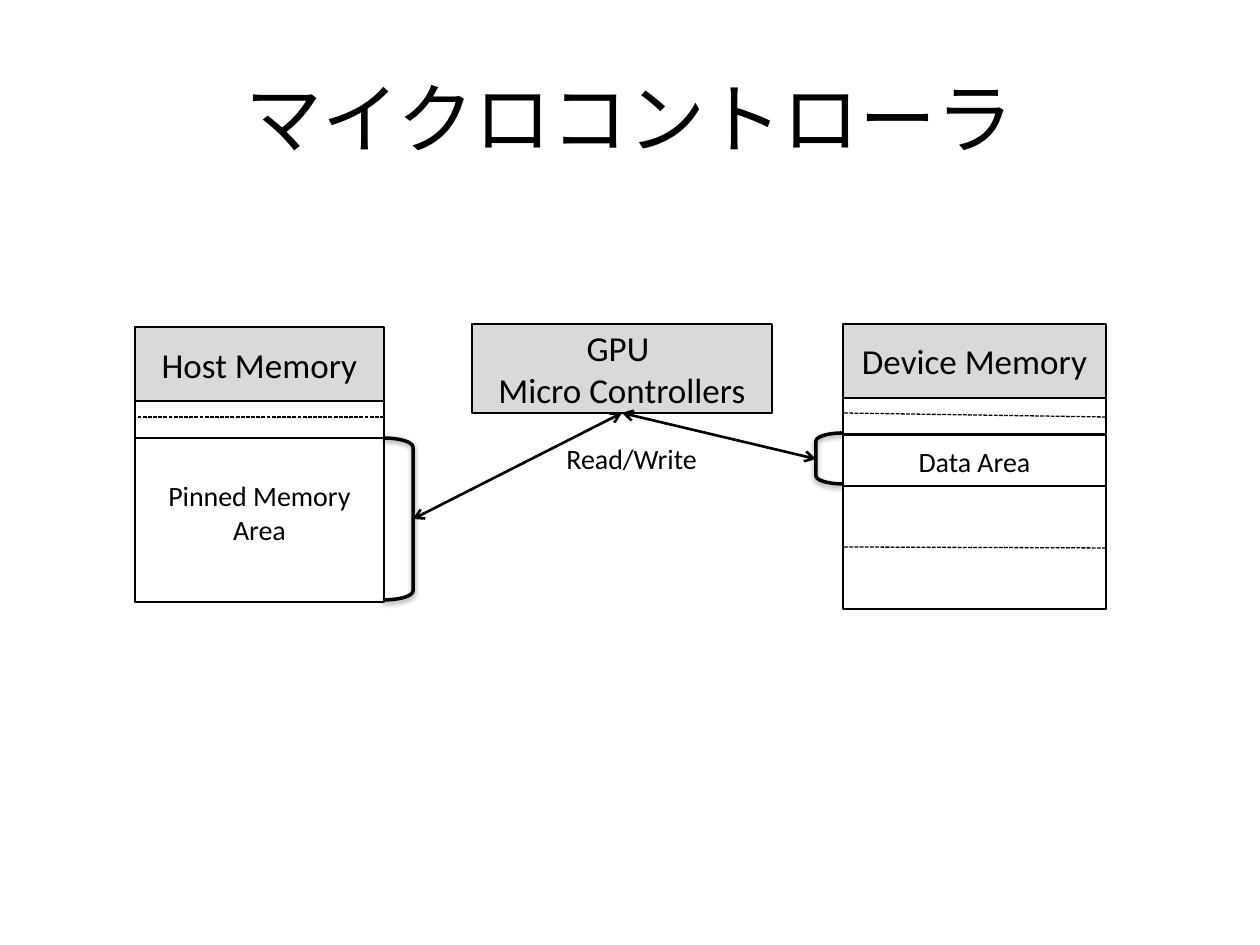
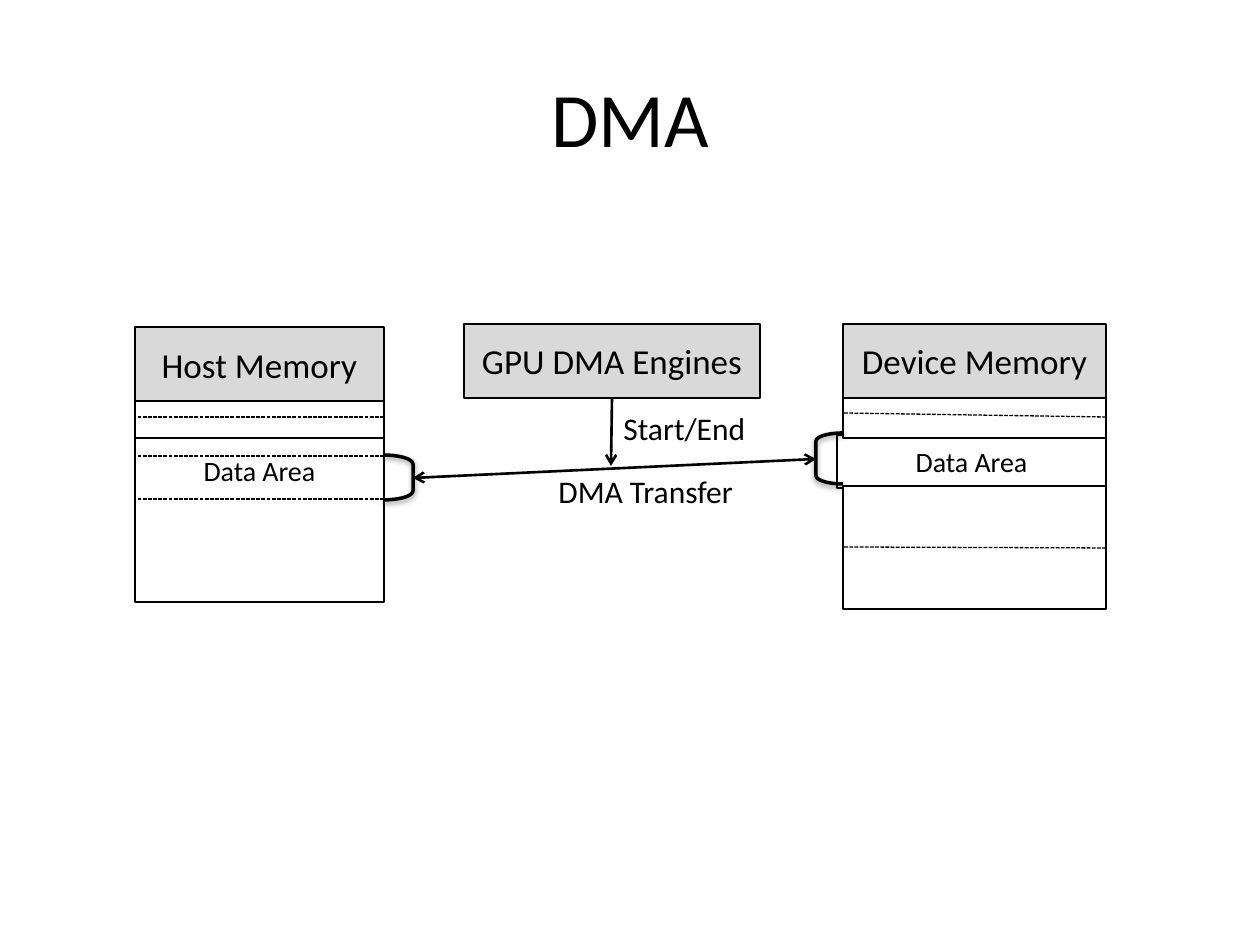
from lxml import etree
from pptx import Presentation
from pptx import util as u
from pptx.dml.color import RGBColor
from pptx.enum import dml, shapes, text
from pptx.oxml import ns

SCALE = 914400 / 126
COLORS = {"ink": "000000", "header": "D9D9D9", "paper": "FFFFFF"}
FONT = "Calibri"

HOST_X, HOST_W = 135, 249
DEVICE_X, DEVICE_W = 843, 263
HOST_EDGE = HOST_X + HOST_W
DEVICE_EDGE = DEVICE_X + DEVICE_W


def px(n):
    return u.Emu(round(n * SCALE))


def color(name):
    return RGBColor.from_string(COLORS[name])


class Deck:
    def __init__(self):
        self.prs = Presentation()
        self.prs.slide_width, self.prs.slide_height = px(1260), px(945)
        self.s = None

    def slide(self, title):
        self.s = self.prs.slides.add_slide(self.prs.slide_layouts[6])
        self.label(63, 38, 1134, 157, title, 44, text.PP_ALIGN.CENTER,
                   text.MSO_ANCHOR.MIDDLE)

    def set_text(self, sp, words, size, align, anchor):
        tf = sp.text_frame
        tf.word_wrap = True
        tf.vertical_anchor = anchor
        p = tf.paragraphs[0]
        p.text = words
        p.alignment = align
        p.font.size = u.Pt(size)
        p.font.name = FONT
        p.font.color.rgb = color("ink")

    def label(self, x, y, w, h, words, size, align=text.PP_ALIGN.LEFT,
              anchor=text.MSO_ANCHOR.TOP):
        sp = self.s.shapes.add_textbox(px(x), px(y), px(w), px(h))
        self.set_text(sp, words, size, align, anchor)

    def outline(self, kind, x, y, w, h, width):
        sp = self.s.shapes.add_shape(kind, px(x), px(y), px(w), px(h))
        sp.shadow.inherit = False
        sp.line.color.rgb = color("ink")
        sp.line.width = u.Pt(width)
        return sp

    def box(self, x, y, w, h, words="", size=16, fill="paper", top=None):
        sp = self.outline(shapes.MSO_SHAPE.RECTANGLE, x, y, w, h, 1)
        sp.fill.solid()
        sp.fill.fore_color.rgb = color(fill)
        if words:
            anchor = text.MSO_ANCHOR.MIDDLE if top is None else text.MSO_ANCHOR.TOP
            self.set_text(sp, words, size, text.PP_ALIGN.CENTER, anchor)
        if top is not None:
            sp.text_frame.margin_top = px(top)

    def header(self, x, y, w, h, words):
        self.box(x, y, w, h, words, 20, "header")

    def bracket(self, x, y, w, h, flip=False):
        sp = self.outline(shapes.MSO_SHAPE.RIGHT_BRACKET, x, y, w, h, 2)
        sp.fill.background()
        sp.adjustments[0] = 0.298
        if flip:
            sp._element.spPr.find(ns.qn("a:xfrm")).set("flipH", "1")
        effects = sp._element.spPr.find(ns.qn("a:effectLst"))
        shadow = etree.SubElement(effects, ns.qn("a:outerShdw"), blurRad="40000",
                                  dist="20000", dir="5400000", rotWithShape="0")
        tint = etree.SubElement(shadow, ns.qn("a:srgbClr"), val=COLORS["ink"])
        etree.SubElement(tint, ns.qn("a:alpha"), val="38000")

    def line(self, x1, y1, x2, y2, width):
        c = self.s.shapes.add_connector(shapes.MSO_CONNECTOR.STRAIGHT,
                                        px(x1), px(y1), px(x2), px(y2))
        c.line.color.rgb = color("ink")
        c.line.width = u.Pt(width)
        etree.SubElement(c._element.spPr, ns.qn("a:effectLst"))
        return c

    def dashes(self, x1, y1, x2, y2):
        c = self.line(x1, y1, x2, y2, 0.75)
        c.line.dash_style = dml.MSO_LINE.SQUARE_DOT

    def arrow(self, x1, y1, x2, y2, ends=("headEnd", "tailEnd")):
        c = self.line(x1, y1, x2, y2, 1.5)
        ln = c._element.spPr.find(ns.qn("a:ln"))
        for end in ends:
            etree.SubElement(ln, ns.qn("a:" + end), type="arrow")

    def host_memory(self, words, top, bracket_y, bracket_h):
        self.header(HOST_X, 327, HOST_W, 74, "Host Memory")
        self.box(HOST_X, 401, HOST_W, 37)
        self.dashes(HOST_EDGE, 417, HOST_X, 417)
        self.box(HOST_X, 438, HOST_W, 164, words, top=top)
        self.bracket(HOST_EDGE - 1, bracket_y, 30, bracket_h)

    def device_memory(self, data_x, strip_h):
        self.box(data_x, 435, DEVICE_EDGE - data_x, 53, "Data Area")
        self.header(DEVICE_X, 324, DEVICE_W, 74, "Device Memory")
        self.box(DEVICE_X, 398, DEVICE_W, strip_h)
        self.dashes(DEVICE_EDGE, 417, DEVICE_X, 413)
        self.bracket(816, 433, 27, 51, flip=True)
        self.box(DEVICE_X, 486, DEVICE_W, 123)
        self.dashes(DEVICE_EDGE, 548, DEVICE_X, 547)


deck = Deck()

deck.slide("マイクロコントローラ")
deck.host_memory("Pinned Memory Area", 41, 438, 162)
deck.device_memory(DEVICE_X, 36)
deck.header(472, 324, 300, 89, "GPU \vMicro Controllers")
deck.label(554, 435, 159, 47, "Read/Write", 16)
deck.arrow(816, 459, 622, 413)
deck.arrow(622, 413, 413, 519)

deck.slide("DMA")
deck.host_memory("Data Area", 16, 455, 45)
deck.device_memory(837, 40)
deck.header(464, 324, 296, 74, "GPU DMA Engines")
for y in (456, 499):
    deck.dashes(HOST_EDGE, y, HOST_X, y)
deck.arrow(816, 459, 413, 478)
deck.arrow(612, 398, 611, 466, ends=("tailEnd",))
deck.label(546, 466, 205, 50, "DMA Transfer", 18)
deck.label(611, 403, 149, 50, "Start/End", 18)

deck.prs.save("out.pptx")
